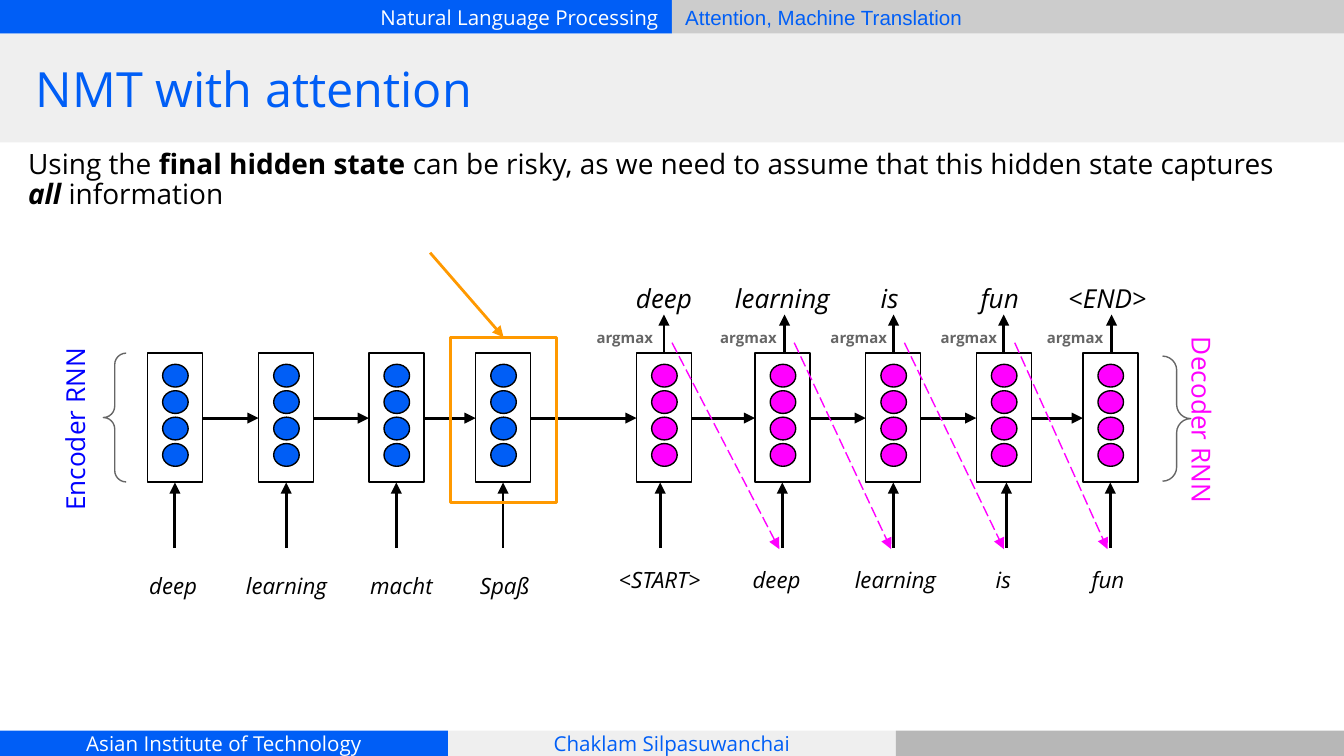
from lxml import etree
from pptx import Presentation
from pptx.dml.color import RGBColor
from pptx.enum import dml, shapes, text
from pptx.oxml import ns
from pptx.util import Pt

BLUE = RGBColor(0x00, 0x5E, 0xF6)
LABEL_BLUE = RGBColor(0x00, 0x00, 0xFF)
MAGENTA = RGBColor(0xFF, 0x00, 0xFF)
ORANGE = RGBColor(0xFF, 0x99, 0x00)
BLACK = RGBColor(0x00, 0x00, 0x00)
WHITE = RGBColor(0xFF, 0xFF, 0xFF)
DARK_GREY = RGBColor(0x66, 0x66, 0x66)
GREY = RGBColor(0xB7, 0xB7, 0xB7)
MID_GREY = RGBColor(0xCC, 0xCC, 0xCC)
LIGHT_GREY = RGBColor(0xEF, 0xEF, 0xEF)

SHAPE = shapes.MSO_SHAPE
LEFT, CENTER, RIGHT = text.PP_ALIGN.LEFT, text.PP_ALIGN.CENTER, text.PP_ALIGN.RIGHT
MIDDLE, TOP = text.MSO_ANCHOR.MIDDLE, text.MSO_ANCHOR.TOP

CELL_TOP, CELL_WIDTH, CELL_HEIGHT = 189.2, 29.5, 69
CELL_MIDDLE, CELL_BOTTOM = 224, 258.5
INPUT_START, OUTPUT_END = 293.6, 168.5

ENCODER = [
    (79, 93.7, "deep ", 72.7, 43.2),
    (138.5, 153.3, " learning", 118.8, 66.2),
    (197.6, 212.3, "macht", 188, 54),
    (254.8, 269.5, "Spaß", 244.8, 51.1),
]
DECODER = [
    (341, 353.7, "<START>", 320.4, 66.2),
    (404.5, 419.1, "deep ", 396, 43.2),
    (463.8, 478.6, " learning", 445, 66.2),
    (523, 539.2, "is", 510.5, 54),
    (580.1, 594.8, "fun", 568, 51.1),
]
OUTPUTS = [
    (355.7, "deep", 322.6, 66.2, 312.5),
    (420.3, "learning", 383.8, 70.6, 378.7),
    (478.7, "is", 443.5, 66.2, 437.8),
    (537.7, "fun", 502.5, 66.2, 496.8),
    (595.5, "<END>", 560.2, 66.2, 553.7),
]
FEEDBACK = [(360, 417.5), (425.5, 477.4), (484.5, 537.8), (543.6, 593.3)]


class Deck:
    """Hold the text style and the current slide, and draw its elements."""

    font = "Open Sans"
    inset = 7.2

    def __init__(self, slide):
        self.slide = slide

    def add_runs(self, frame, runs, size, color, align=LEFT, anchor=TOP, spacing=None, font=None):
        frame.word_wrap = True
        frame.auto_size = text.MSO_AUTO_SIZE.NONE
        frame.vertical_anchor = anchor
        frame.margin_left = frame.margin_right = Pt(self.inset)
        frame.margin_top = frame.margin_bottom = Pt(self.inset)
        paragraph = frame.paragraphs[0]
        paragraph.alignment = align
        if spacing:
            paragraph.line_spacing = spacing
        for words, bold, italic in runs:
            run = paragraph.add_run()
            run.text = words
            run.font.name = font or self.font
            run.font.size = Pt(size)
            run.font.bold, run.font.italic = bold, italic
            run.font.color.rgb = color

    def title(self, words, left, top, width, height):
        heading = self.slide.shapes.title
        heading.left, heading.top = Pt(left), Pt(top)
        heading.width, heading.height = Pt(width), Pt(height)
        heading.element.getparent().append(heading.element)
        self.add_runs(heading.text_frame, [(words, False, False)], 26, BLUE, anchor=MIDDLE)

    def shape(self, kind, left, top, width, height, fill=None, line=None, weight=0.75, parent=None):
        outline = (parent or self.slide).shapes.add_shape(
            kind, Pt(left), Pt(top), Pt(width), Pt(height))
        outline.shadow.inherit = False
        if fill is None:
            outline.fill.background()
        else:
            outline.fill.solid()
            outline.fill.fore_color.rgb = fill
        if line is None:
            outline.line.fill.background()
        else:
            outline.line.color.rgb = line
            outline.line.width = Pt(weight)
        return outline

    def bar(self, left, top, width, height, fill, words="", color=WHITE, align=CENTER, font=None):
        band = self.shape(SHAPE.RECTANGLE, left, top, width, height, fill)
        if words:
            self.add_runs(band.text_frame, [(words, False, False)], 11, color, align, MIDDLE, font=font)

    def brace(self, kind, left, top, width, height):
        curve = self.shape(kind, left, top, width, height, line=DARK_GREY)
        curve.adjustments[0] = curve.adjustments[1] = 0.5

    def body(self, runs, left, top, width, height):
        box = self.slide.shapes.add_textbox(Pt(left), Pt(top), Pt(width), Pt(height))
        self.add_runs(box.text_frame, runs, 15, BLACK, spacing=0.9)

    def label(self, words, left, top, width, height, size, color=BLACK, bold=False,
              italic=False, align=CENTER, spacing=1.15, rotation=0):
        box = self.slide.shapes.add_textbox(Pt(left), Pt(top), Pt(width), Pt(height))
        box.rotation = rotation
        self.add_runs(box.text_frame, [(words, bold, italic)], size, color, align, spacing=spacing)
        box.text_frame.auto_size = text.MSO_AUTO_SIZE.SHAPE_TO_FIT_TEXT

    def arrow(self, x1, y1, x2, y2, color=BLACK, weight=1.5, dash=None):
        link = self.slide.shapes.add_connector(
            shapes.MSO_CONNECTOR.STRAIGHT, Pt(x1), Pt(y1), Pt(x2), Pt(y2))
        link.line.color.rgb = color
        link.line.width = Pt(weight)
        if dash:
            link.line.dash_style = dash
        properties = link.element.spPr
        etree.SubElement(properties.find(ns.qn("a:ln")), ns.qn("a:tailEnd"), type="triangle")
        etree.SubElement(properties, ns.qn("a:effectLst"))

    def cell(self, left, color):
        group = self.slide.shapes.add_group_shape()
        self.shape(SHAPE.RECTANGLE, left, CELL_TOP, CELL_WIDTH, CELL_HEIGHT, line=BLACK, parent=group)
        for unit in range(4):
            self.shape(SHAPE.OVAL, left + 8.1, 195.2 + 14.15 * unit, 13.7, 12.2,
                       color, BLACK, parent=group)


def main():
    prs = Presentation()
    prs.slide_width, prs.slide_height = Pt(720), Pt(405)
    deck = Deck(prs.slides.add_slide(prs.slide_layouts[5]))

    deck.bar(0, 0, 360, 18, BLUE, "Natural Language Processing", align=RIGHT)
    deck.bar(360, 0, 360, 18, MID_GREY, "Attention, Machine Translation", BLUE, LEFT, "Arial")
    deck.bar(0, 391.5, 240, 13.5, BLUE, "Asian Institute of Technology")
    deck.bar(240, 391.5, 240, 13.5, LIGHT_GREY, "Chaklam Silpasuwanchai", BLUE)
    deck.bar(480, 391.5, 240, 13.5, GREY)
    deck.bar(0, 18, 720, 58.3, LIGHT_GREY)
    deck.title("NMT with attention", 12, 18, 696, 58.3)
    deck.body([
        ("Using the ", False, False),
        ("final hidden state", True, False),
        (" can be risky, as we need to assume that this hidden state captures ", False, False),
        ("all", True, True),
        (" information", False, False),
    ], 8, 73.4, 690, 299.5)

    for cells, color, word_top in ((ENCODER, BLUE, 297.4), (DECODER, MAGENTA, 294.2)):
        for left, input_x, word, word_left, word_width in cells:
            deck.cell(left, color)
            deck.arrow(input_x, INPUT_START, input_x, CELL_BOTTOM)
            deck.label(word, word_left, word_top, word_width, 28.8, 12, italic=True)

    lefts = [cell[0] for cell in ENCODER + DECODER]
    for left, following in zip(lefts, lefts[1:]):
        deck.arrow(left + CELL_WIDTH, CELL_MIDDLE, following, CELL_MIDDLE)

    for output_x, word, word_left, word_width, argmax_left in OUTPUTS:
        deck.arrow(output_x, CELL_TOP, output_x, OUTPUT_END)
        deck.label("argmax", argmax_left, 171.4, 46.8, 24.5, 8, DARK_GREY,
                   bold=True, align=LEFT, spacing=None)
        deck.label(word, word_left, 141.8, word_width, 31.7, 14, italic=True)

    for output_x, input_x in FEEDBACK:
        deck.arrow(output_x, 183.6, input_x, 294.2, MAGENTA, 0.75, dml.MSO_LINE.LONG_DASH)

    deck.brace(SHAPE.LEFT_BRACE, 55.4, CELL_TOP, 12.2, CELL_HEIGHT)
    deck.label("Encoder RNN ", -18.7, 212.4, 113, 31.7, 14, LABEL_BLUE, rotation=270)
    deck.brace(SHAPE.RIGHT_BRACE, 622.8, 190.8, 15.1, 67)
    deck.label("Decoder RNN ", 589.7, 211, 113, 31.7, 14, MAGENTA, rotation=90)
    deck.shape(SHAPE.RECTANGLE, 241.2, 180.7, 57, 88.6, line=ORANGE, weight=1.5)
    deck.arrow(230.4, 135.4, 269.8, 180.7, ORANGE)

    prs.save("out.pptx")


if __name__ == "__main__":
    main()
